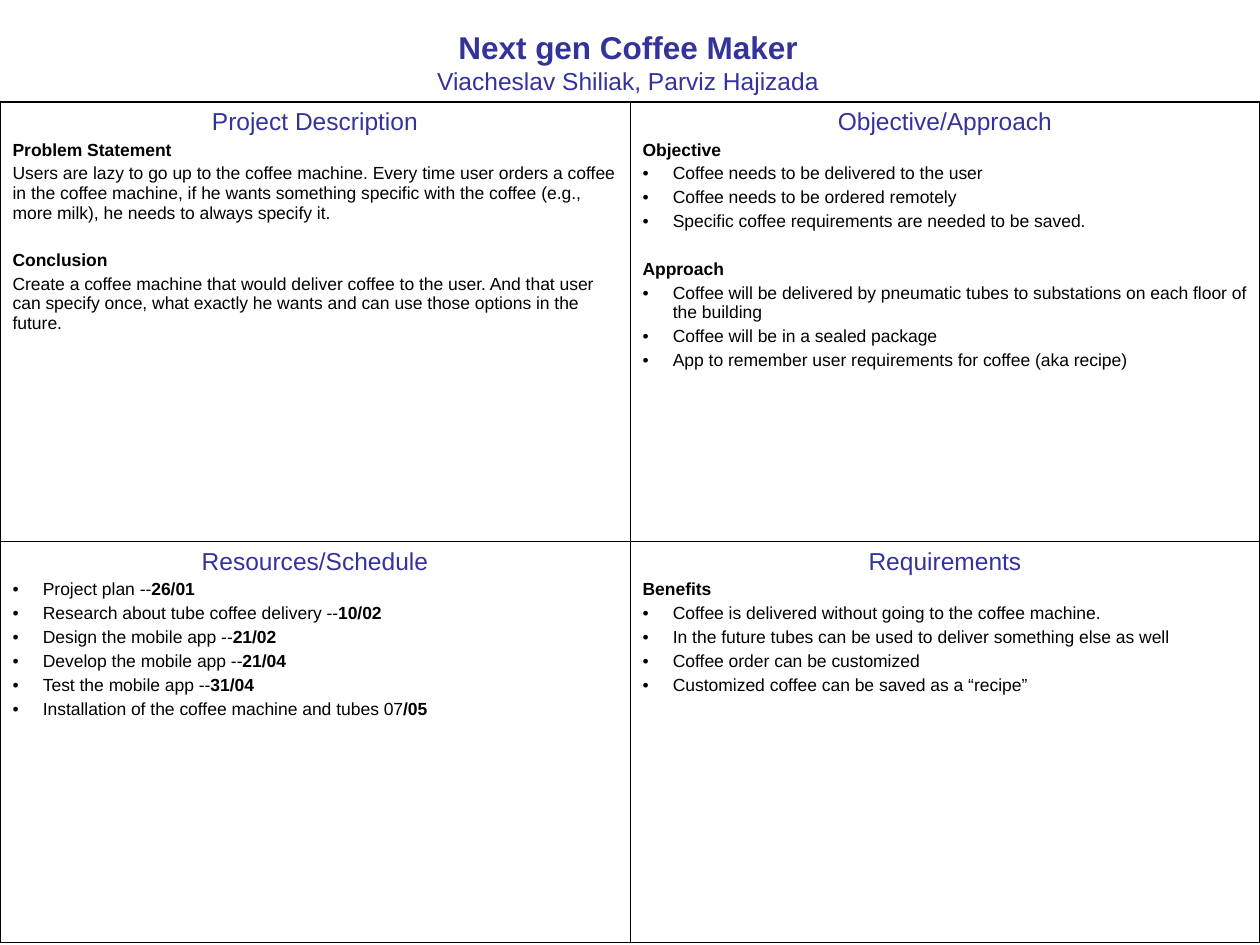
"""Build a four-quadrant project overview slide for a coffee maker."""
from dataclasses import dataclass

from lxml import etree
from pptx import Presentation
from pptx.dml.color import RGBColor
from pptx.enum.text import MSO_ANCHOR, MSO_AUTO_SIZE, PP_ALIGN
from pptx.oxml.ns import qn
from pptx.util import Inches, Pt

CENTER, LEFT = PP_ALIGN.CENTER, PP_ALIGN.LEFT
TOP = MSO_ANCHOR.TOP
NO_FIT = MSO_AUTO_SIZE.NONE


@dataclass(frozen=True)
class Theme:
    font: str = "Arial"
    accent: str = "333399"
    ink: str = "000000"
    title_size: float = 18
    heading_size: float = 14
    body_size: float = 10
    heading_gap: float = 3.5
    body_gap: float = 2.5
    section_gap: float = 16
    hanging: float = 0.24
    outer_line: float = 1.08
    inner_line: float = 0.45


TITLE = "Next gen Coffee Maker"
AUTHORS = "Viacheslav Shiliak, Parviz Hajizada"

QUADRANTS = [
    [
        ("Project Description", [
            ("label", "Problem Statement"),
            ("plain", "Users are lazy to go up to the coffee machine. Every time user orders "
                      "a coffee in the coffee machine, if he wants something specific with "
                      "the coffee (e.g., more milk), he needs to always specify it."),
            ("label", "Conclusion"),
            ("plain", "Create a coffee machine that would deliver coffee to the user. And that "
                      "user can specify once, what exactly he wants and can use those options "
                      "in the future."),
        ]),
        ("Objective/Approach", [
            ("label", "Objective"),
            ("bullet", "Coffee needs to be delivered to the user"),
            ("bullet", "Coffee needs to be ordered remotely"),
            ("bullet", "Specific coffee requirements are needed to be saved."),
            ("label", "Approach"),
            ("bullet", "Coffee will be delivered by pneumatic tubes to substations on each "
                       "floor of the building"),
            ("bullet", "Coffee will be in a sealed package"),
            ("bullet", "App to remember user requirements for coffee (aka recipe)"),
        ]),
    ],
    [
        ("Resources/Schedule", [
            ("bullet", "Project plan --", "26/01"),
            ("bullet", "Research about tube coffee delivery --", "10/02"),
            ("bullet", "Design the mobile app --", "21/02"),
            ("bullet", "Develop the mobile app --", "21/04"),
            ("bullet", "Test the mobile app --", "31/04"),
            ("bullet", "Installation of the coffee machine and tubes 07", "/05"),
        ]),
        ("Requirements", [
            ("label", "Benefits"),
            ("bullet", "Coffee is delivered without going to the coffee machine."),
            ("bullet", "In the future tubes can be used to deliver something else as well"),
            ("bullet", "Coffee order can be customized"),
            ("bullet", "Customized coffee can be saved as a “recipe”"),
        ]),
    ],
]


def write(para, text, *, theme, size, color, bold=False, align=LEFT, before=0):
    """Add a formatted span to a paragraph."""
    para.alignment = align
    para.space_before = Pt(before)
    span = para.add_run()
    span.text = text
    span.font.name = theme.font
    span.font.size = Pt(size)
    span.font.bold = bold
    span.font.color.rgb = RGBColor.from_string(color)


class SlideBuilder:
    """Hold the theme and the current slide."""

    def __init__(self, slide, theme):
        self.slide = slide
        self.theme = theme

    def title(self, text, subtitle, left, top, width, height):
        theme = self.theme
        box = self.slide.shapes.title
        box.left, box.top = Inches(left), Inches(top)
        box.width, box.height = Inches(width), Inches(height)
        frame = box.text_frame
        frame.word_wrap = True
        frame.auto_size = NO_FIT
        frame.vertical_anchor = TOP
        write(frame.paragraphs[0], text, theme=theme, size=theme.title_size,
              color=theme.accent, bold=True, align=CENTER)
        write(frame.add_paragraph(), subtitle, theme=theme, size=theme.heading_size,
              color=theme.accent, align=CENTER)

    def quadrants(self, rows, left, top, width, heights):
        columns = len(rows[0])
        table = self.slide.shapes.add_table(
            len(rows), columns, Inches(left), Inches(top),
            Inches(width), Inches(sum(heights))).table
        table.first_row = table.horz_banding = False
        for row, height in zip(table.rows, heights):
            row.height = Inches(height)
        for r, row in enumerate(rows):
            for c, (heading, items) in enumerate(row):
                cell = table.cell(r, c)
                cell.fill.background()
                self.fill_cell(cell, heading, items)
                self.borders(cell, {"L": c == 0, "R": c == columns - 1,
                                    "T": r == 0, "B": r == len(rows) - 1})

    def fill_cell(self, cell, heading, items):
        theme = self.theme
        frame = cell.text_frame
        write(frame.paragraphs[0], heading, theme=theme, size=theme.heading_size,
              color=theme.accent, align=CENTER, before=theme.heading_gap)
        for index, (kind, text, *dates) in enumerate(items):
            para = frame.add_paragraph()
            is_label = kind == "label"
            before = theme.section_gap if is_label and index else theme.body_gap
            style = {"theme": theme, "size": theme.body_size,
                     "color": theme.ink, "before": before}
            write(para, text, bold=is_label, **style)
            for date in dates:
                write(para, date, bold=True, **style)
            if kind == "bullet":
                self.bullet(para)

    def bullet(self, para):
        properties = para._p.get_or_add_pPr()
        indent = Inches(self.theme.hanging)
        properties.set("marL", str(indent))
        properties.set("indent", str(-indent))
        etree.SubElement(properties, qn("a:buFont"), typeface=self.theme.font)
        etree.SubElement(properties, qn("a:buChar"), char="•")

    def borders(self, cell, outer_sides):
        properties = cell._tc.get_or_add_tcPr()
        for index, (side, is_outer) in enumerate(outer_sides.items()):
            weight = self.theme.outer_line if is_outer else self.theme.inner_line
            line = etree.Element(qn(f"a:ln{side}"), w=str(Pt(weight)))
            fill = etree.SubElement(line, qn("a:solidFill"))
            etree.SubElement(fill, qn("a:srgbClr"), val=self.theme.ink)
            properties.insert(index, line)


def main():
    deck = Presentation()
    deck.slide_width, deck.slide_height = Inches(10), Inches(7.5)
    page = SlideBuilder(deck.slides.add_slide(deck.slide_layouts[5]), Theme())
    page.title(TITLE, AUTHORS, 0.82, 0.17, 8.33, 0.64)
    page.quadrants(QUADRANTS, 0, 0.81, 10, [3.49, 3.18])
    deck.save("out.pptx")


if __name__ == "__main__":
    main()
